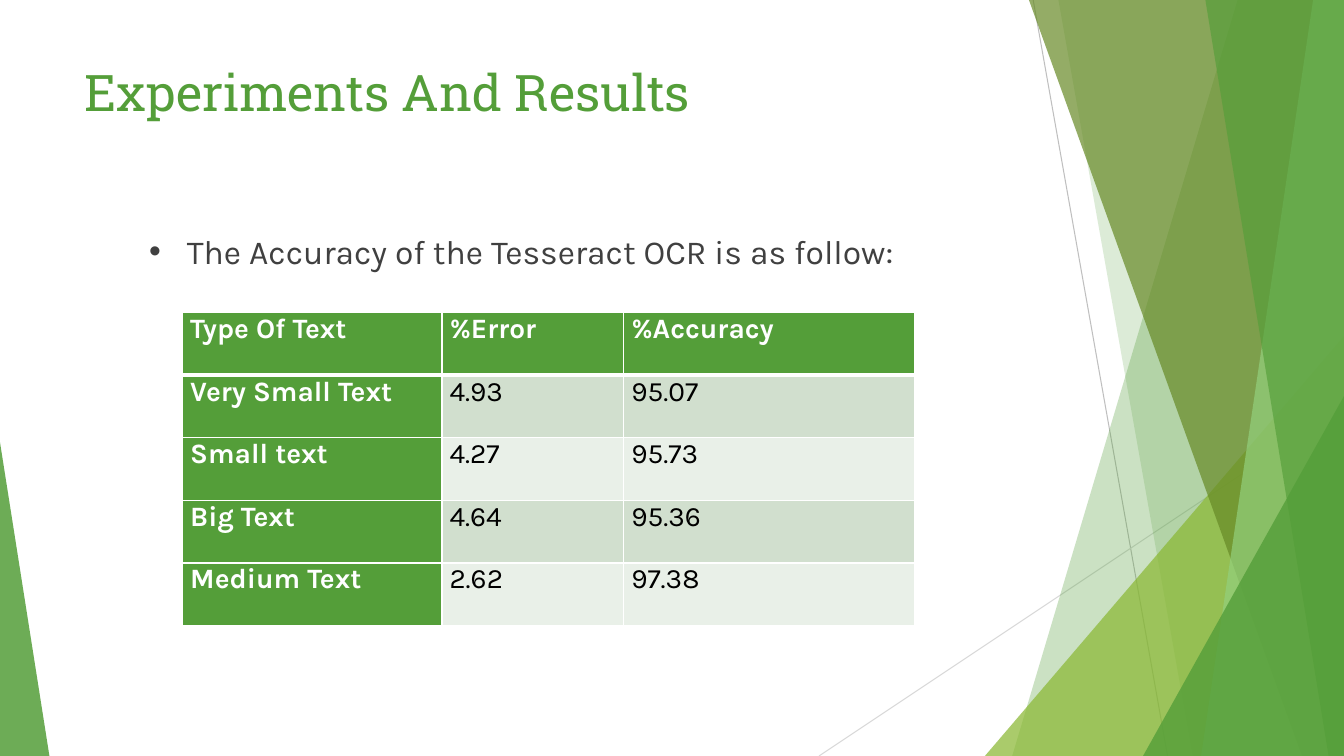
from lxml import etree
from pptx import Presentation
from pptx.enum import shapes, text
from pptx.dml.color import RGBColor
from pptx.oxml import ns
from pptx.util import Pt

COLORS = {
    "green": "549E39", "lime": "8AB833", "olive": "678A26", "mint": "93D07D",
    "gray": "BFBFBF", "pale_gray": "D9D9D9", "body": "404040",
    "white": "FFFFFF", "black": "000000",
    "row_dark": "D1DFCE", "row_light": "E9F0E8",
}
WIDTH, HEIGHT = 960, 540


def add_span(para, words, font, size, color, bold=False):
    span = para.add_run()
    span.text = words
    span.font.name = font
    span.font.size = Pt(size)
    span.font.bold = bold
    span.font.color.rgb = RGBColor.from_string(COLORS[color])


def paint(shape, color, opacity):
    """Fill a shape with a see-through colour, without line or shadow."""
    shape.shadow.inherit = False
    shape.line.fill.background()
    shape.fill.solid()
    shape.fill.fore_color.rgb = RGBColor.from_string(COLORS[color])
    tint = shape.fill._xPr.find(".//" + ns.qn("a:srgbClr"))
    etree.SubElement(tint, ns.qn("a:alpha"), val=str(opacity * 1000))


deck = Presentation()
deck.slide_width, deck.slide_height = Pt(WIDTH), Pt(HEIGHT)
page = deck.slides.add_slide(deck.slide_layouts[6])

# Thin lines behind the facets
for x1, y1, x2, y2, color in [
    (738, 0, 834, HEIGHT, "gray"),
    (WIDTH, 290, 585, HEIGHT, "pale_gray"),
]:
    line = page.shapes.add_connector(
        shapes.MSO_CONNECTOR.STRAIGHT, Pt(x1), Pt(y1), Pt(x2), Pt(y2))
    line.line.color.rgb = RGBColor.from_string(COLORS[color])
    line.line.width = Pt(0.75)
    etree.SubElement(line._element.spPr, ns.qn("a:effectLst"))

# Facets, back to front: a band has (top x, bottom x) and runs to the right
# edge; a triangle has (left, top, width, apex) and stands on the bottom edge
facets = [
    ("band", (884, 723), "green", 30),
    ("band", (756, 852), "green", 20),
    ("triangle", (703.5, 240, 256.5, 1), "lime", 72),
    ("band", (735, 930), "olive", 70),
    ("band", (938, 858), "mint", 70),
    ("band", (861, 949), "green", 65),
    ("triangle", (816.5, 283, 143.5, 1), "green", 80),
    ("triangle", (0, 316, 35.3, 0), "green", 85),
]
for kind, place, color, opacity in facets:
    if kind == "band":
        top_x, bottom_x = place
        outline = page.shapes.build_freeform(Pt(top_x), 0)
        outline.add_line_segments([
            (Pt(WIDTH), 0), (Pt(WIDTH), Pt(HEIGHT)), (Pt(bottom_x), Pt(HEIGHT))])
        facet = outline.convert_to_shape()
    else:
        left, top, width, apex = place
        facet = page.shapes.add_shape(
            shapes.MSO_SHAPE.ISOSCELES_TRIANGLE,
            Pt(left), Pt(top), Pt(width), Pt(HEIGHT - top))
        facet.adjustments[0] = apex
    paint(facet, color, opacity)

# Title
title_box = page.shapes.add_textbox(Pt(53.3), Pt(40.3), Pt(677), Pt(103.7))
title_box.text_frame.word_wrap = True
add_span(title_box.text_frame.paragraphs[0], "Experiments And Results",
         "Roboto Slab", 36, "green")

# Accuracy table
rows = [
    ("Type Of Text", "%Error", "%Accuracy"),
    ("Very Small Text", "4.93", "95.07"),
    ("Small text", "4.27", "95.73"),
    ("Big Text", "4.64", "95.36"),
    ("Medium Text", "2.62", "97.38"),
]
column_widths = (185.2, 129.9, 208)
row_height = 44.7
table = page.shapes.add_table(
    len(rows), len(column_widths), Pt(130.5), Pt(223.4),
    Pt(sum(column_widths)), Pt(row_height * len(rows))).table
table.first_row = table.horz_banding = False
for column, width in zip(table.columns, column_widths):
    column.width = Pt(width)

for r, values in enumerate(rows):
    table.rows[r].height = Pt(row_height)
    for c, value in enumerate(values):
        heading = r == 0 or c == 0
        cell = table.cell(r, c)
        cell.margin_left = cell.margin_right = Pt(5.4)
        cell.margin_top = cell.margin_bottom = 0
        fill = "green" if heading else "row_dark" if r % 2 else "row_light"
        cell.fill.solid()
        cell.fill.fore_color.rgb = RGBColor.from_string(COLORS[fill])

        para = cell.text_frame.paragraphs[0]
        para.alignment = text.PP_ALIGN.JUSTIFY
        add_span(para, value, "Karla", 20, "white" if heading else "black", heading)

        borders = {"lnL": 1, "lnR": 1, "lnT": 3 if r == 1 else 1, "lnB": 3 if r == 0 else 1}
        for i, (side, weight) in enumerate(borders.items()):
            border = etree.Element(ns.qn("a:" + side), w=str(Pt(weight)))
            solid = etree.SubElement(border, ns.qn("a:solidFill"))
            etree.SubElement(solid, ns.qn("a:srgbClr"), val=COLORS["white"])
            cell._tc.tcPr.insert(i, border)

# Bullet above the table
bullet_box = page.shapes.add_textbox(Pt(99.4), Pt(161.3), Pt(720.7), Pt(36))
bullet_box.text_frame.word_wrap = True
bullet_box.text_frame.vertical_anchor = text.MSO_ANCHOR.MIDDLE
para = bullet_box.text_frame.paragraphs[0]
para.alignment = text.PP_ALIGN.JUSTIFY
add_span(para, "The Accuracy of the Tesseract OCR is as follow:", "Karla", 24, "body")
settings = para._p.get_or_add_pPr()
settings.set("marL", str(Pt(27)))
settings.set("indent", str(Pt(-27)))
etree.SubElement(settings, ns.qn("a:buFont"), typeface="Arial")
etree.SubElement(settings, ns.qn("a:buChar"), char="•")

deck.save("out.pptx")
